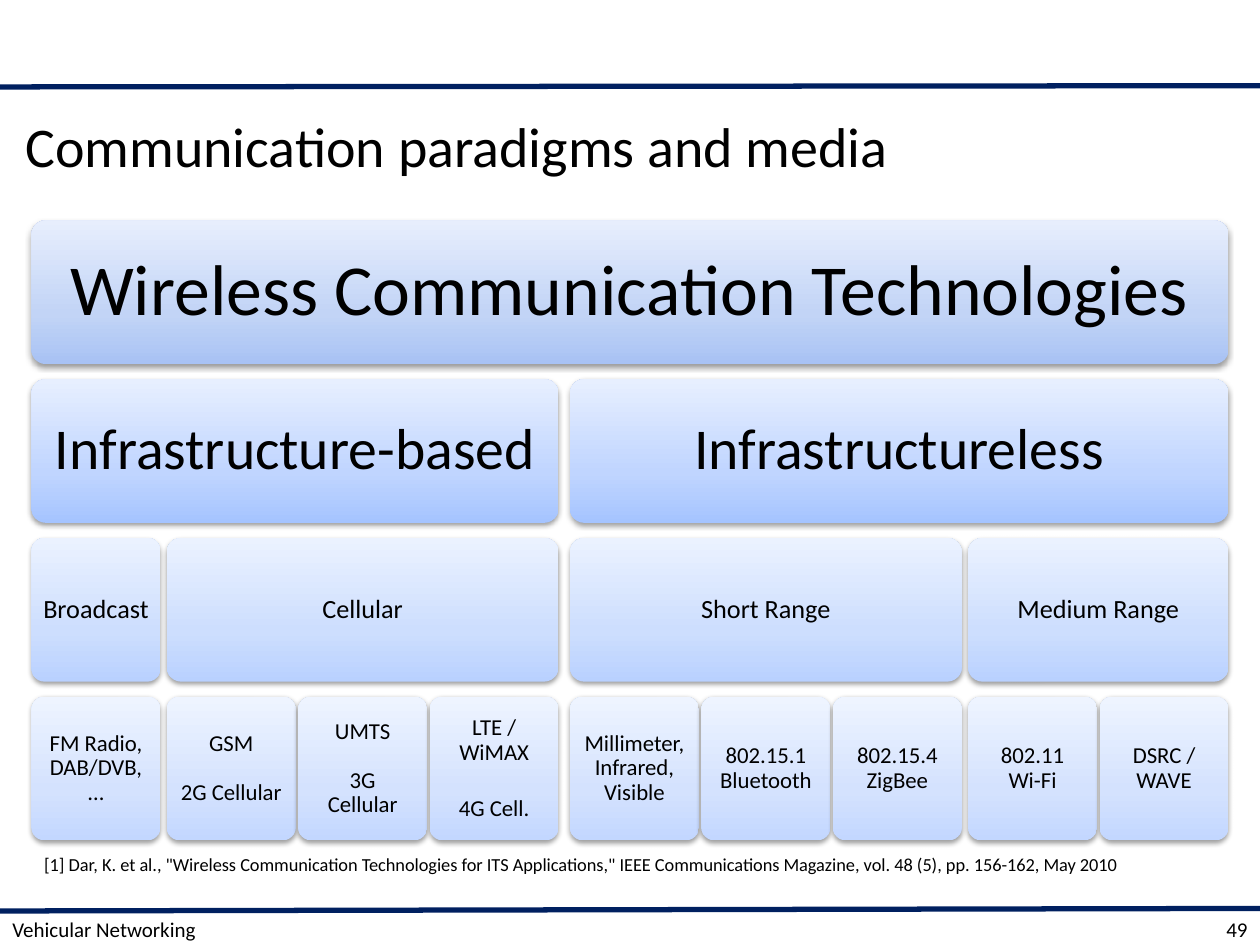
from dataclasses import dataclass
from lxml.etree import SubElement as Sub
from pptx import Presentation
from pptx.dml.color import RGBColor as Rgb
from pptx.enum.shapes import MSO_CONNECTOR as Conn, MSO_SHAPE as Kind
from pptx.enum.text import MSO_ANCHOR as Anchor, PP_ALIGN as Align
from pptx.oxml.ns import qn
from pptx.util import Inches, Pt


@dataclass(frozen=True)
class Theme:
    font: str = "Calibri"
    ink: str = "000000"
    rule: str = "002060"
    title: float = 32
    note: float = 10.5
    foot: float = 12
    rows: tuple = (
        (41, 0.17, ("A8C2F4", "C2D4F6", "E7EEFD")),
        (33, 0.14, ("A5C4FF", "C0D5FF", "E7EFFF")),
        (15, 0.06, ("B9D1FF", "CDDEFE", "EBF2FF")),
        (13, 0.05, ("C3D7FF", "D4E2FE", "EEF4FF")),
    )


T = Theme()
WIDE, HIGH = 10, 7.5
GAPS = (0, 0.09, 0.05, 0.02)
PITCH, TALL = 1.26, 1.14
BREAK = 14

TREE = ("Wireless Communication Technologies", [
    ("Infrastructure-based", [
        ("Broadcast", [("FM Radio,\nDAB/DVB,\n…", [])]),
        ("Cellular", [
            ("GSM\n\n2G Cellular", []),
            ("UMTS\n\n3G\nCellular", []),
            ("LTE / WiMAX\n\n4G Cell.", [], 18),
        ]),
    ]),
    ("Infrastructureless", [
        ("Short Range", [
            ("Millimeter,\nInfrared, Visible", []),
            ("802.15.1 Bluetooth", []),
            ("802.15.4 ZigBee", []),
        ]),
        ("Medium Range", [("802.11\nWi-Fi", []), ("DSRC / WAVE", [])]),
    ]),
])


def put(obj, vals):
    for name, val in vals.items():
        setattr(obj, name, val)


def place(shape, box):
    names = ("left", "top", "width", "height")
    put(shape, dict(zip(names, map(Inches, box))))


def write(shape, text, size, align, anchor, pad=(0.1, 0.05), space=0, lead=1):
    frame = shape.text_frame
    side, edge = map(Inches, pad)
    put(frame, {"word_wrap": True, "vertical_anchor": anchor,
                "margin_left": side, "margin_right": side,
                "margin_top": edge, "margin_bottom": edge})
    for n, part in enumerate(text.split("\n\n")):
        para = frame.add_paragraph() if n else frame.paragraphs[0]
        para.text = part
        put(para, {"alignment": align, "line_spacing": lead,
                   "space_before": Pt(space if n else 0)})
        for run in para.runs:
            put(run.font, {"name": T.font, "size": Pt(size)})
            run.font.color.rgb = Rgb.from_string(T.ink)


def paint(shape, tones):
    props = shape._element.spPr
    grad = Sub(props, qn("a:gradFill"), rotWithShape="1")
    stops = Sub(grad, qn("a:gsLst"))
    for pos, tone in zip((0, 35, 100), tones):
        stop = Sub(stops, qn("a:gs"), pos=str(pos * 1000))
        Sub(stop, qn("a:srgbClr"), val=tone)
    Sub(grad, qn("a:lin"), ang="16200000", scaled="0")
    shape.line.fill.background()
    glow = Sub(props, qn("a:effectLst"))
    cast = Sub(glow, qn("a:outerShdw"), blurRad=str(Pt(3.1)), dist=str(Pt(1.6)),
               dir="5400000", rotWithShape="0")
    tint = Sub(cast, qn("a:srgbClr"), val=T.ink)
    Sub(tint, qn("a:alpha"), val="38000")


def count(node):
    return sum(map(count, node[1])) or 1


def slack(node, row=0):
    kids = node[1]
    if not kids:
        return 0
    inner = sum(slack(kid, row + 1) for kid in kids)
    return inner + GAPS[row + 1] * (len(kids) - 1)


def grow(slide, node, left, top, unit, row=0):
    text, kids, *rest = node
    size, pad, tones = T.rows[row]
    width = count(node) * unit + slack(node, row)
    card = slide.shapes.add_shape(Kind.ROUNDED_RECTANGLE, 0, 0, 0, 0)
    place(card, (left, top, width, TALL))
    card.adjustments[0] = 0.1
    paint(card, tones)
    write(card, text, size, Align.CENTER, Anchor.MIDDLE, (pad, pad),
          rest[0] if rest else BREAK, 0.9)
    x = left
    for kid in kids:
        x += grow(slide, kid, x, top + PITCH, unit, row + 1) + GAPS[row + 1]
    return width


def chart(slide, box):
    left, top, width = box
    unit = (width - slack(TREE)) / count(TREE)
    grow(slide, TREE, left, top, unit)


def rule(slide, start, end):
    line = slide.shapes.add_connector(
        Conn.STRAIGHT, 0, Inches(start), Inches(WIDE), Inches(end))
    line.line.color.rgb = Rgb.from_string(T.rule)
    line.line.width = Pt(3)
    Sub(line._element.spPr, qn("a:effectLst"))


def head(slide, box):
    title = slide.shapes.title
    place(title, box)
    write(title, "Communication paradigms and media", T.title,
          Align.LEFT, Anchor.MIDDLE, (0.2, 0.05))


def cite(slide, box):
    body = slide.placeholders[1]
    place(body, box)
    props = body.text_frame.paragraphs[0]._p.get_or_add_pPr()
    put_off = {"marL": "0", "indent": "0"}
    for name, val in put_off.items():
        props.set(name, val)
    Sub(props, qn("a:buNone"))
    write(body, '[1] Dar, K. et al., "Wireless Communication Technologies for '
          'ITS Applications," IEEE Communications Magazine, vol. 48 (5), '
          'pp. 156-162, May 2010', T.note, Align.LEFT, Anchor.BOTTOM)


def foot(slide, box):
    left, top, width, height = box
    half = width / 2
    parts = (("Vehicular Networking", Align.LEFT), ("49", Align.RIGHT))
    for n, (text, align) in enumerate(parts):
        note = slide.shapes.add_textbox(0, 0, 0, 0)
        place(note, (left + n * half, top, half, height))
        write(note, text, T.foot, align, Anchor.MIDDLE)


deck = Presentation()
put(deck, {"slide_width": Inches(WIDE), "slide_height": Inches(HIGH)})
page = deck.slides.add_slide(deck.slide_layouts[1])
edge = WIDE / 40
rule(page, 7.23, 7.21)
rule(page, 0.69, 0.68)
head(page, (0, HIGH / 10, WIDE, 0.8))
chart(page, (edge, 1.75, WIDE - 2 * edge))
cite(page, (edge, 6.08, WIDE - 2 * edge, 0.92))
foot(page, (0, HIGH - edge, WIDE, edge))
deck.save("out.pptx")
